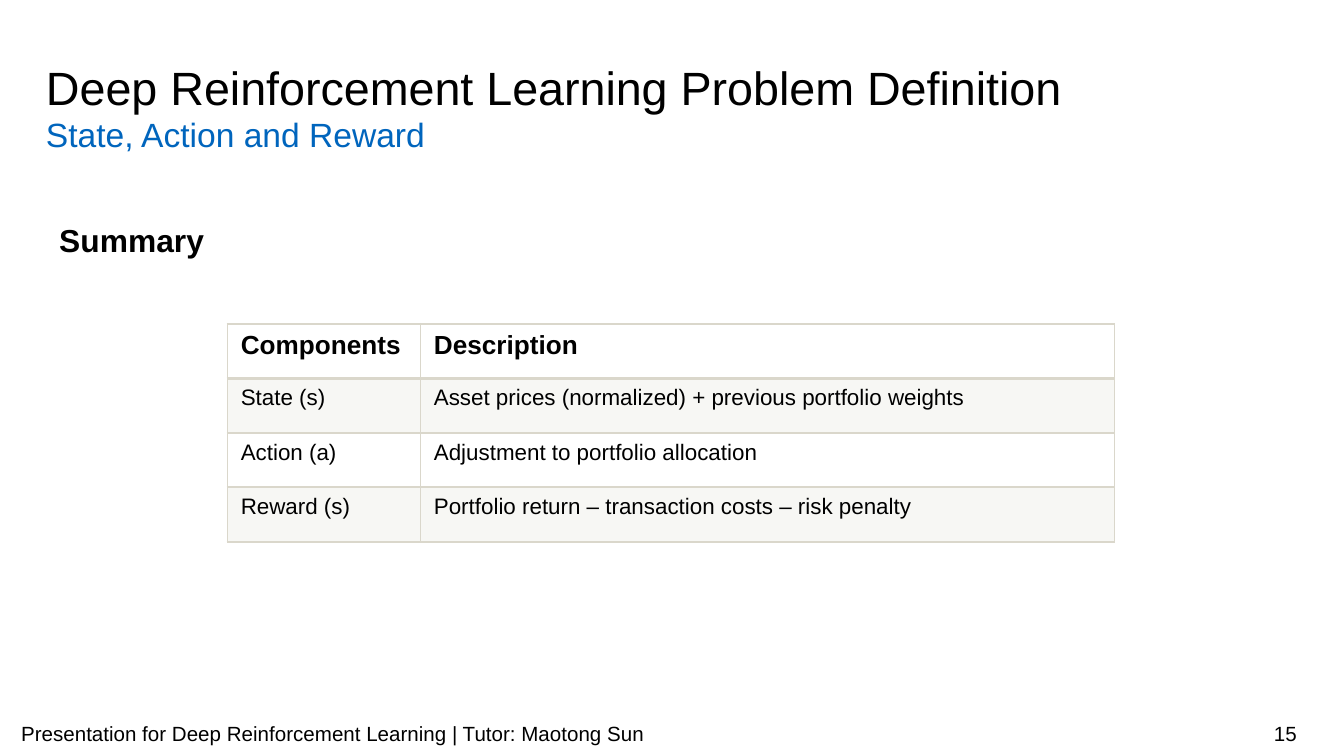
from dataclasses import dataclass

from lxml.etree import SubElement
from pptx import Presentation
from pptx.dml.color import RGBColor
from pptx.enum.shapes import MSO_SHAPE
from pptx.enum.text import MSO_ANCHOR, PP_ALIGN
from pptx.oxml.ns import qn
from pptx.util import Cm, Pt


@dataclass(frozen=True)
class Theme:
    """Colours, font and type sizes of the slide."""
    font: str = "Arial"
    ink: str = "000000"
    accent: str = "0065BD"
    paper: str = "FFFFFF"
    rule: str = "DAD7CB"
    band_opacity: int = 20
    title: int = 25
    subtitle: int = 18
    heading: int = 17
    header: int = 14
    body: int = 12
    footer: int = 11


THEME = Theme()
COMPONENTS = [
    ("Components", "Description"),
    ("State (s)", "Asset prices (normalized) + previous portfolio weights"),
    ("Action (a)", "Adjustment to portfolio allocation"),
    ("Reward (s)", "Portfolio return – transaction costs – risk penalty"),
]


def write(frame, text, *, size, color=THEME.ink, bold=False, align=PP_ALIGN.LEFT,
          spacing=None, anchor=MSO_ANCHOR.TOP, insets=(0, 0, 0, 0)):
    """Put one formatted paragraph in a text frame, with insets in cm."""
    frame.word_wrap = True
    frame.vertical_anchor = anchor
    (frame.margin_left, frame.margin_top,
     frame.margin_right, frame.margin_bottom) = map(Cm, insets)
    paragraph = frame.paragraphs[0]
    paragraph.alignment = align
    paragraph.line_spacing = spacing
    run = paragraph.add_run()
    run.text = text
    run.font.name = THEME.font
    run.font.size = Pt(size)
    run.font.bold = bold
    run.font.color.rgb = RGBColor.from_string(color)


def add_text(slide, left, top, width, height, text, **style):
    """Add a text box with one formatted paragraph."""
    box = slide.shapes.add_textbox(Cm(left), Cm(top), Cm(width), Cm(height))
    write(box.text_frame, text, **style)


def add_heading(slide, left, top, width):
    """Place the title with its subtitle below."""
    add_text(slide, left, top, width, 1.07,
             "Deep Reinforcement Learning Problem Definition",
             size=THEME.title, spacing=1.28)
    add_text(slide, left, top + 1.09, width, 0.89, "State, Action and Reward",
             size=THEME.subtitle, color=THEME.accent, insets=(0, 0.25, 0, 0))


def add_summary_label(slide, left, top, width, height):
    """Place the section label above the table."""
    add_text(slide, left, top, width, height, "Summary", size=THEME.heading,
             bold=True, spacing=1.15, insets=(0.25, 0.3, 0.25, 0.25))


def border_cell(cell, bottom_width):
    """Rule all four edges of a cell."""
    properties = cell._tc.get_or_add_tcPr()
    for position, edge in enumerate(("lnL", "lnR", "lnT", "lnB")):
        width = bottom_width if edge == "lnB" else 1
        line = properties.makeelement(qn(f"a:{edge}"), {"w": str(Pt(width))})
        fill = SubElement(line, qn("a:solidFill"))
        SubElement(fill, qn("a:srgbClr"), val=THEME.rule)
        properties.insert(position, line)


def fill_cell(cell, banded):
    """Tint a banded cell and leave any other clear."""
    if not banded:
        cell.fill.background()
        return
    cell.fill.solid()
    cell.fill.fore_color.rgb = RGBColor.from_string(THEME.rule)
    tint = cell._tc.tcPr.find(f"{qn('a:solidFill')}/{qn('a:srgbClr')}")
    SubElement(tint, qn("a:alpha"), val=str(THEME.band_opacity * 1000))


def add_components_table(slide, left, top, width, height):
    """Place the table of components and descriptions."""
    table = slide.shapes.add_table(len(COMPONENTS), 2, Cm(left), Cm(top),
                                   Cm(width), Cm(height)).table
    name_width = 3.65
    table.columns[0].width = Cm(name_width)
    table.columns[1].width = Cm(width - name_width)
    for row, texts in enumerate(COMPONENTS):
        is_header = row == 0
        for column, text in enumerate(texts):
            cell = table.cell(row, column)
            write(cell.text_frame, text, bold=is_header,
                  size=THEME.header if is_header else THEME.body)
            cell.margin_left = cell.margin_right = Cm(0.25)
            cell.margin_top = cell.margin_bottom = Cm(0.13)
            fill_cell(cell, banded=row % 2 == 1)
            border_cell(cell, bottom_width=2 if is_header else 1)


def add_footer(slide, left, top, width, height):
    """Place the footer text at the left and the page number at the right."""
    number_width = 5.69
    parts = [
        (left + width - number_width, number_width, "15", PP_ALIGN.RIGHT),
        (left, 17.96,
         "Presentation for Deep Reinforcement Learning | Tutor: Maotong Sun",
         PP_ALIGN.LEFT),
    ]
    for part_left, part_width, text, align in parts:
        panel = slide.shapes.add_shape(MSO_SHAPE.RECTANGLE, Cm(part_left), Cm(top),
                                       Cm(part_width), Cm(height))
        panel.shadow.inherit = False
        panel.fill.solid()
        panel.fill.fore_color.rgb = RGBColor.from_string(THEME.paper)
        panel.line.fill.background()
        write(panel.text_frame, text, size=THEME.footer, align=align,
              anchor=MSO_ANCHOR.MIDDLE, insets=(0, 0.13, 0, 0.13))


def main():
    """Build and save the slide."""
    deck = Presentation()
    deck.slide_width, deck.slide_height = Cm(25.4), Cm(14.29)
    slide = deck.slides.add_slide(deck.slide_layouts[6])
    add_footer(slide, 0.4, 13.49, 24.11, 0.76)
    add_summary_label(slide, 0.87, 3.76, 16.18, 1.98)
    add_heading(slide, 0.87, 0.82, 23.65)
    add_components_table(slide, 4.3, 6.12, 16.76, 4.12)
    deck.save("out.pptx")


if __name__ == "__main__":
    main()
